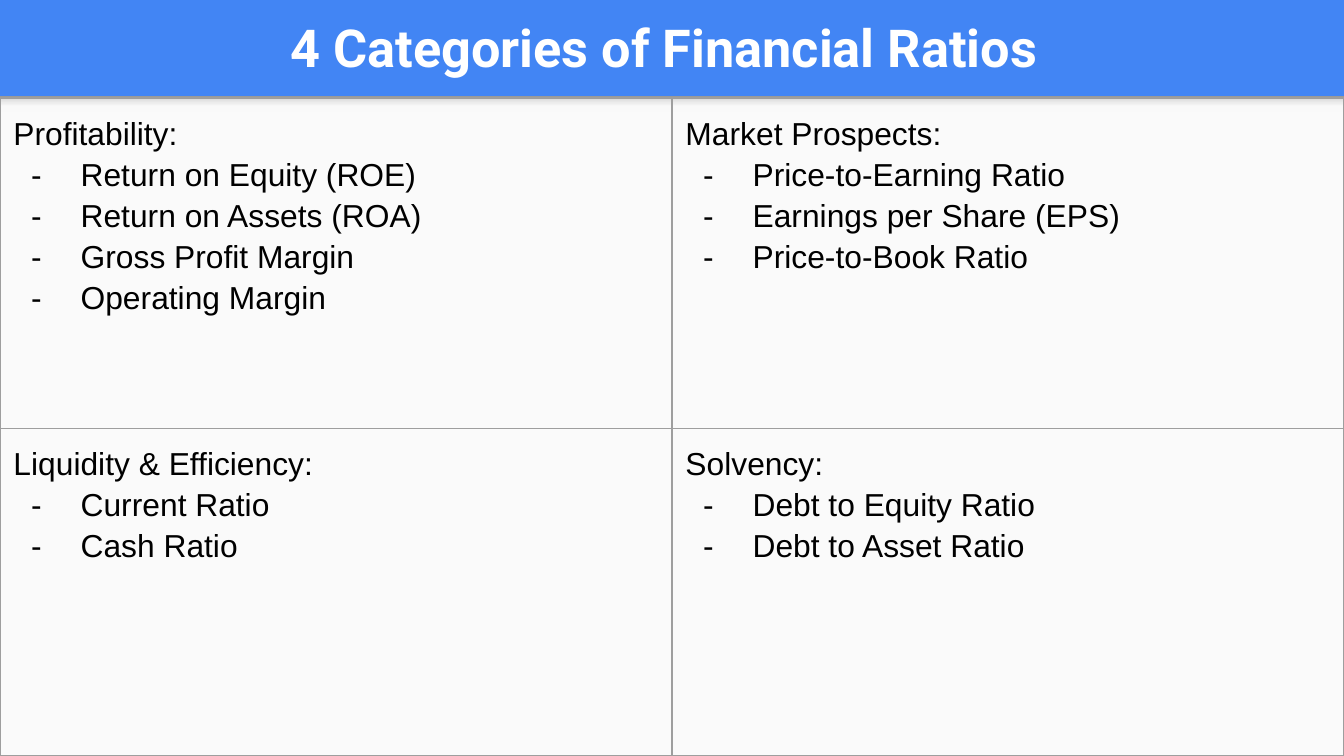
from lxml import etree
from pptx import Presentation
from pptx.dml.color import RGBColor
from pptx.enum import shapes, text
from pptx.oxml.ns import qn
from pptx.util import Pt

COLOURS = {
    "banner": "4285F4",
    "panel": "FAFAFA",
    "title": "FFFFFF",
    "body": "000000",
    "border": "9E9E9E",
}
SHADOW_STOPS = [(0, "F9F9F9"), (36, "F9F9F9"), (80, "DEDEDE"), (100, "999999")]
WIDTH, HEIGHT = 720, 405
PANEL_TOP, TABLE_TOP = 51.5, 52.5
ROW_HEIGHTS = [177, 175.5]
INSET = 7.2

CATEGORIES = [
    [
        ("Profitability:", ["Return on Equity (ROE)", "Return on Assets (ROA)",
                            "Gross Profit Margin", "Operating Margin"]),
        ("Market Prospects:", ["Price-to-Earning Ratio", "Earnings per Share (EPS)",
                               "Price-to-Book Ratio"]),
    ],
    [
        ("Liquidity & Efficiency:", ["Current Ratio", "Cash Ratio"]),
        ("Solvency:", ["Debt to Equity Ratio", "Debt to Asset Ratio"]),
    ],
]


def rgb(name):
    return RGBColor.from_string(COLOURS[name])


def add_colour(parent, value):
    etree.SubElement(parent, qn("a:srgbClr"), val=value)


def write_text(paragraph, content, *, font, size, colour, bold=False):
    run = paragraph.add_run()
    run.text = content
    run.font.name = font
    run.font.size = Pt(size)
    run.font.bold = bold
    run.font.color.rgb = rgb(colour)


def add_rectangle(slide, left, top, width, height):
    shape = slide.shapes.add_shape(
        shapes.MSO_SHAPE.RECTANGLE, Pt(left), Pt(top), Pt(width), Pt(height))
    shape.shadow.inherit = False
    shape.line.fill.background()
    return shape


def add_panel(slide, left, top, width, height):
    """Light body area with a soft shadow along its top edge."""
    panel = add_rectangle(slide, left, top, width, height)
    panel.fill.solid()
    panel.fill.fore_color.rgb = rgb("panel")

    edge = add_rectangle(slide, left, top, width, 8.5)
    edge.fill.gradient()
    edge.fill.gradient_angle = 90
    stops = edge._element.spPr.find(qn("a:gradFill")).find(qn("a:gsLst"))
    for stop in list(stops):
        stops.remove(stop)
    for percent, value in SHADOW_STOPS:
        add_colour(etree.SubElement(stops, qn("a:gs"), pos=str(percent * 1000)), value)


def add_title(slide, left, top, width, height):
    frame = slide.shapes.add_textbox(Pt(left), Pt(top), Pt(width), Pt(height)).text_frame
    frame.word_wrap = True
    frame.vertical_anchor = text.MSO_ANCHOR.MIDDLE
    frame.margin_left = frame.margin_right = Pt(INSET)
    frame.margin_top = frame.margin_bottom = Pt(INSET)
    paragraph = frame.paragraphs[0]
    paragraph.alignment = text.PP_ALIGN.CENTER
    write_text(paragraph, "4 Categories of Financial Ratios",
               font="Roboto", size=28, colour="title", bold=True)


def add_dash(paragraph):
    properties = paragraph._p.get_or_add_pPr()
    properties.set("marL", str(Pt(36)))
    properties.set("indent", str(-Pt(26.5)))
    add_colour(etree.SubElement(properties, qn("a:buClr")), COLOURS["body"])
    etree.SubElement(properties, qn("a:buFont"), typeface="Arial")
    etree.SubElement(properties, qn("a:buChar"), char="-")


def add_borders(cell):
    properties = cell._tc.get_or_add_tcPr()
    for side in ("lnL", "lnR", "lnT", "lnB"):
        line = etree.SubElement(properties, qn(f"a:{side}"), w=str(Pt(0.75)))
        add_colour(etree.SubElement(line, qn("a:solidFill")), COLOURS["border"])


def fill_cell(cell, heading, ratios):
    add_borders(cell)
    cell.fill.background()
    cell.margin_left = cell.margin_right = Pt(INSET)
    cell.margin_top = cell.margin_bottom = Pt(INSET)
    frame = cell.text_frame
    for index, content in enumerate([heading, *ratios]):
        paragraph = frame.add_paragraph() if index else frame.paragraphs[0]
        if index:
            add_dash(paragraph)
        paragraph.line_spacing = 1.15
        write_text(paragraph, content, font="Arial", size=17, colour="body")


def add_category_table(slide, left, top, width, height):
    table = slide.shapes.add_table(
        len(CATEGORIES), len(CATEGORIES[0]),
        Pt(left), Pt(top), Pt(width), Pt(height)).table
    table.first_row = False
    table.horz_banding = False
    for row, row_height, categories in zip(table.rows, ROW_HEIGHTS, CATEGORIES):
        row.height = Pt(row_height)
        for cell, (heading, ratios) in zip(row.cells, categories):
            fill_cell(cell, heading, ratios)


def main():
    presentation = Presentation()
    presentation.slide_width = Pt(WIDTH)
    presentation.slide_height = Pt(HEIGHT)
    slide = presentation.slides.add_slide(presentation.slide_layouts[6])
    slide.background.fill.solid()
    slide.background.fill.fore_color.rgb = rgb("banner")

    add_panel(slide, 0, PANEL_TOP, WIDTH, HEIGHT - PANEL_TOP)
    add_title(slide, 8, 1.5, 695, 47.5)
    add_category_table(slide, 0, TABLE_TOP, WIDTH, sum(ROW_HEIGHTS))
    presentation.save("out.pptx")


if __name__ == "__main__":
    main()
